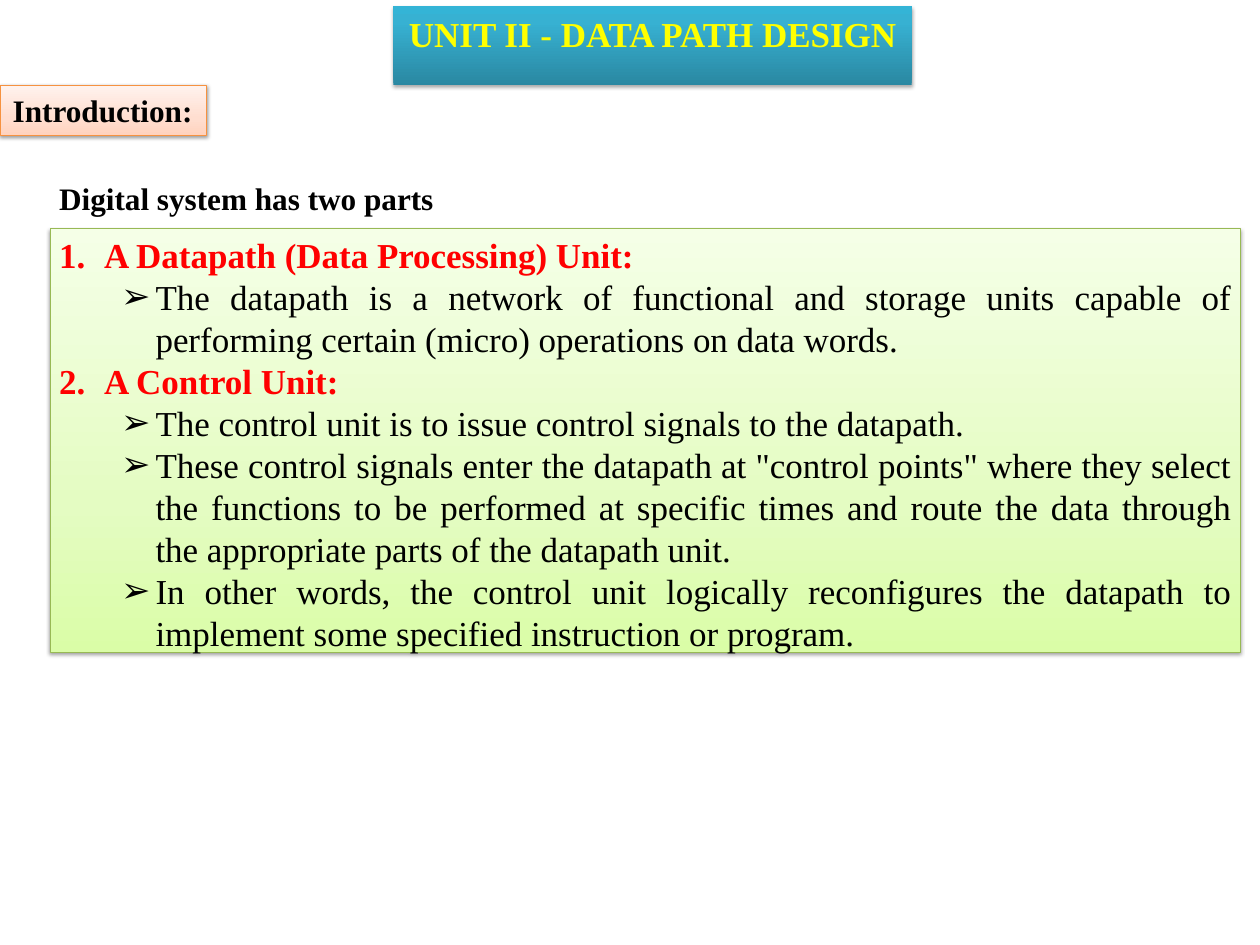
from lxml import etree
from pptx import Presentation
from pptx import util as u
from pptx.dml.color import RGBColor
from pptx.enum import shapes, text
from pptx.oxml import ns

FONT = "Times New Roman"
BLACK = RGBColor(0x00, 0x00, 0x00)
RED = RGBColor(0xFF, 0x00, 0x00)
YELLOW = RGBColor(0xFF, 0xFF, 0x00)
ORANGE_LINE = RGBColor(0xF6, 0x92, 0x40)
GREEN_LINE = RGBColor(0x98, 0xB9, 0x55)

# Gradients run from the bottom edge to the top: (percent, colour)
ORANGE = [(0, RGBColor(0xFF, 0xD2, 0xBD)), (35, RGBColor(0xFF, 0xDE, 0xD0)),
          (100, RGBColor(0xFF, 0xF2, 0xED))]
TEAL = [(0, RGBColor(0x2A, 0x88, 0xA2)), (80, RGBColor(0x37, 0xB1, 0xD2)),
        (100, RGBColor(0x34, 0xB4, 0xD6))]
GREEN = [(0, RGBColor(0xDA, 0xFD, 0xA7)), (35, RGBColor(0xE4, 0xFC, 0xC2)),
         (100, RGBColor(0xF5, 0xFF, 0xE7))]

UNITS = [
    ("A Datapath (Data Processing) Unit:", [
        "The datapath is a network of functional and storage units capable of "
        "performing certain (micro) operations on data words.",
    ]),
    ("A Control Unit:", [
        "The control unit is to issue control signals to the datapath.",
        'These control signals enter the datapath at "control points" where they '
        "select the functions to be performed at specific times and route the data "
        "through the appropriate parts of the datapath unit.",
        "In other words, the control unit logically reconfigures the datapath to "
        "implement some specified instruction or program.",
    ]),
]


def add_child(parent, tag, **attributes):
    return etree.SubElement(parent, ns.qn(tag), attributes)


def place(shape, left, top, width, height):
    shape.left, shape.top = u.Cm(left), u.Cm(top)
    shape.width, shape.height = u.Cm(width), u.Cm(height)


def style_panel(shape, stops, line=None, shadow_alpha=38):
    """Give a shape a vertical gradient, an outline and a soft drop shadow."""
    shape.fill.gradient()
    shape.fill.gradient_angle = 90
    properties = shape._element.spPr
    stop_list = properties.find(".//" + ns.qn("a:gsLst"))
    stop_list.clear()
    for percent, colour in stops:
        stop = add_child(stop_list, "a:gs", pos=str(percent * 1000))
        add_child(stop, "a:srgbClr", val=str(colour))
    if line is None:
        shape.line.fill.background()
    else:
        shape.line.color.rgb = line
        shape.line.width = u.Pt(0.75)
    effects = add_child(properties, "a:effectLst")
    shadow = add_child(effects, "a:outerShdw", blurRad=str(u.Pt(3.1)),
                       dist=str(u.Pt(1.6)), dir="5400000", rotWithShape="0")
    colour = add_child(shadow, "a:srgbClr", val=str(BLACK))
    add_child(colour, "a:alpha", val=str(shadow_alpha * 1000))


def set_frame(shape, wrap=False, margins=(0.25, 0.13)):
    frame = shape.text_frame
    frame.word_wrap = wrap
    frame.auto_size = text.MSO_AUTO_SIZE.SHAPE_TO_FIT_TEXT
    frame.vertical_anchor = text.MSO_ANCHOR.TOP
    frame.margin_left = frame.margin_right = u.Cm(margins[0])
    frame.margin_top = frame.margin_bottom = u.Cm(margins[1])
    return frame


def write(paragraph, content, size=28, colour=BLACK, bold=False,
          align=text.PP_ALIGN.JUSTIFY):
    paragraph.alignment = align
    paragraph.space_before = u.Pt(0)
    run = paragraph.add_run()
    run.text = content
    run.font.name = FONT
    run.font.size = u.Pt(size)
    run.font.bold = bold
    run.font.color.rgb = colour


def set_bullet(paragraph, left, hanging, number=None):
    properties = paragraph._p.get_or_add_pPr()
    properties.set("marL", str(u.Cm(left)))
    properties.set("indent", str(-u.Cm(hanging)))
    if number is None:
        add_child(properties, "a:buChar", char="➢")
    else:
        add_child(properties, "a:buFont", typeface="+mj-lt")
        add_child(properties, "a:buAutoNum", type="arabicPeriod", startAt=str(number))


def add_units(frame):
    paragraph = frame.paragraphs[0]
    for number, (heading, points) in enumerate(UNITS, 1):
        if number > 1:
            paragraph = frame.add_paragraph()
        set_bullet(paragraph, 1.27, 1.27, number)
        write(paragraph, heading, colour=RED, bold=True)
        for point in points:
            paragraph = frame.add_paragraph()
            paragraph.level = 1
            set_bullet(paragraph, 2.72, 0.97)
            write(paragraph, point)


def main():
    presentation = Presentation()
    presentation.slide_width, presentation.slide_height = u.Cm(35.56), u.Cm(26.67)
    slide = presentation.slides.add_slide(presentation.slide_layouts[1])
    title, body = slide.placeholders

    # Section label
    label = slide.shapes.add_shape(shapes.MSO_SHAPE.RECTANGLE, 0, u.Cm(2.41),
                                   u.Cm(5.84), u.Cm(1.42))
    style_panel(label, ORANGE, ORANGE_LINE)
    write(set_frame(label, margins=(0.36, 0.18)).paragraphs[0], "Introduction:",
          size=25, bold=True, align=text.PP_ALIGN.LEFT)

    # Title banner
    place(title, 11.1, 0.18, 14.63, 1.55)
    style_panel(title, TEAL, shadow_alpha=35)
    write(set_frame(title, margins=(0.36, 0.18)).paragraphs[0],
          "UNIT II - DATA PATH DESIGN", colour=YELLOW, bold=True,
          align=text.PP_ALIGN.CENTER)

    # Lead-in sentence
    lead = slide.shapes.add_textbox(u.Cm(1.42), u.Cm(4.93), u.Cm(11.2), u.Cm(1.32))
    write(set_frame(lead).paragraphs[0], "Digital system has two parts",
          size=25, bold=True)

    # Numbered units with their points
    place(body, 1.42, 6.45, 33.58, 12.22)
    style_panel(body, GREEN, GREEN_LINE)
    add_units(set_frame(body, wrap=True))

    presentation.save("out.pptx")


if __name__ == "__main__":
    main()
